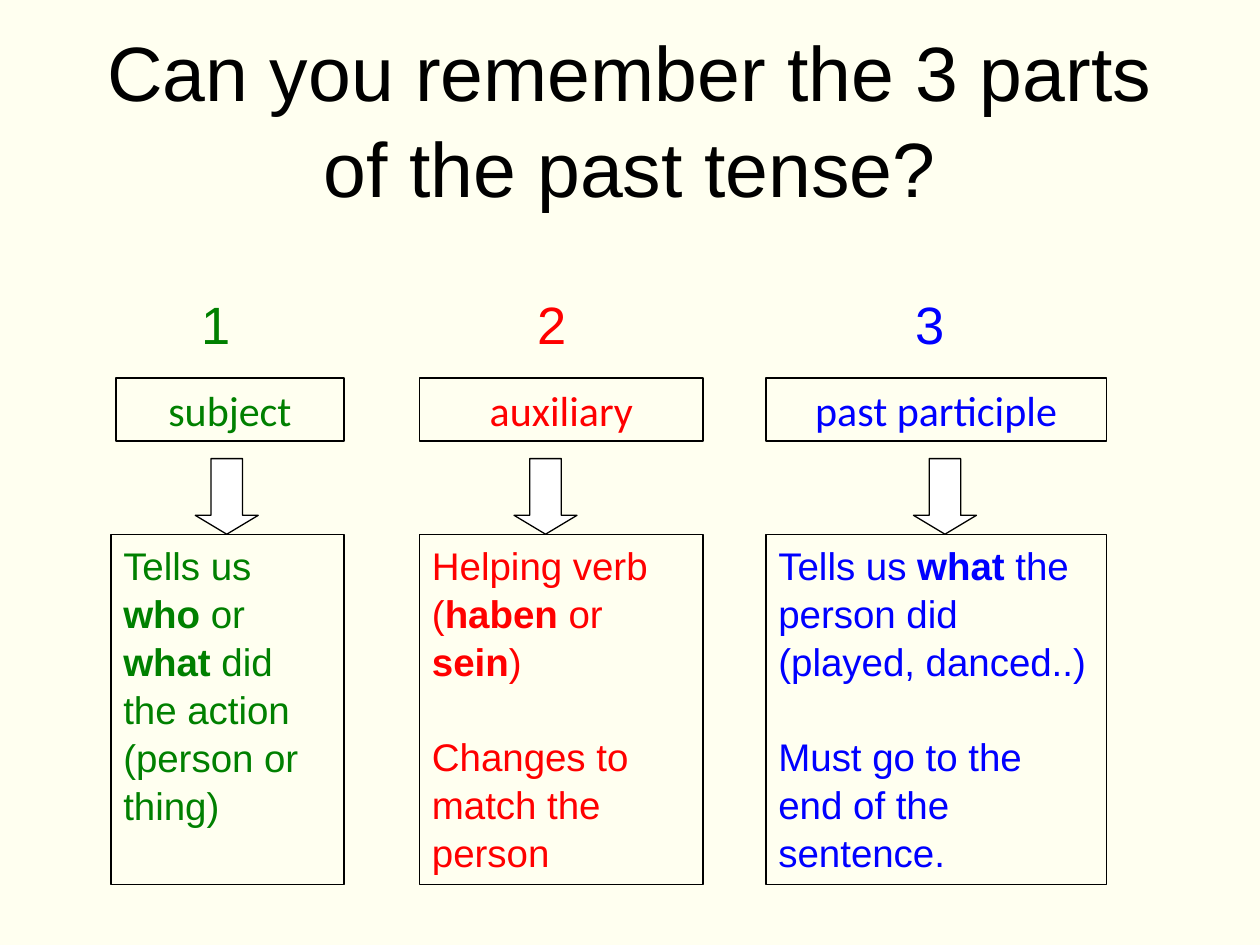
from pptx import Presentation
from pptx.dml.color import RGBColor
from pptx.enum.shapes import MSO_SHAPE
from pptx.enum.text import MSO_ANCHOR, PP_ALIGN
from pptx.util import Inches, Pt

RECTANGLE, DOWN_ARROW = MSO_SHAPE.RECTANGLE, MSO_SHAPE.DOWN_ARROW
TOP, MIDDLE = MSO_ANCHOR.TOP, MSO_ANCHOR.MIDDLE
LEFT, CENTER = PP_ALIGN.LEFT, PP_ALIGN.CENTER

COLORS = {
    "paper": "FFFFF0", "black": "000000", "white": "FFFFFF",
    "green": "008000", "red": "FF0000", "blue": "0000FF",
}
TITLE = "Can you remember the 3 parts of the past tense?"
PARTS = [
    {
        "color": "green", "number": "1", "name": "subject",
        "left": 0.88, "name_left": 0.92, "right": 2.73,
        "number_left": 1.5, "arrow_left": 1.55,
        "role": [[("Tells us ", False), ("who", True), (" or ", False), ("what", True),
                  (" did the action (person or thing)", False)]],
    },
    {
        "color": "red", "number": "2", "name": "auxiliary",
        "left": 3.33, "name_left": 3.33, "right": 5.58,
        "number_left": 4.17, "arrow_left": 4.08,
        "role": [[("Helping verb (", False), ("haben", True), (" or ", False),
                  ("sein", True), (")", False)],
                 [("Changes to match the person", False)]],
    },
    {
        "color": "blue", "number": "3", "name": "past participle",
        "left": 6.08, "name_left": 6.08, "right": 8.78,
        "number_left": 7.17, "arrow_left": 7.25,
        "role": [[("Tells us ", False), ("what", True),
                  (" the person did (played, danced..)", False)],
                 [("Must go to the end of the sentence.", False)]],
    },
]
NUMBER_TOP, NAME_TOP, ARROW_TOP, ROLE_TOP, ROLE_BOTTOM = 2.25, 3, 3.64, 4.24, 7.02
LINE_SPACING = 1.04


def rgb(name):
    return RGBColor.from_string(COLORS[name])


def write(box, paragraphs, size, color, font="Arial", align=LEFT, anchor=TOP, spacing=LINE_SPACING):
    frame = box.text_frame
    frame.word_wrap = True
    frame.vertical_anchor = anchor
    for index, spans in enumerate(paragraphs):
        paragraph = frame.add_paragraph() if index else frame.paragraphs[0]
        paragraph.alignment = align
        paragraph.line_spacing = spacing
        paragraph.space_before = Pt(1.2 * size if index else 0)
        paragraph.font.name = font
        paragraph.font.size = Pt(size)
        paragraph.font.color.rgb = rgb(color)
        for text, bold in spans:
            span = paragraph.add_run()
            span.text = text
            if bold:
                span.font.bold = True


def add_outline(page, kind, left, top, width, height, fill=None):
    shape = page.shapes.add_shape(kind, Inches(left), Inches(top), Inches(width), Inches(height))
    shape.shadow.inherit = False
    if fill:
        shape.fill.solid()
        shape.fill.fore_color.rgb = rgb(fill)
    else:
        shape.fill.background()
    shape.line.color.rgb = rgb("black")
    shape.line.width = Pt(0.75)
    return shape


def add_part(page, part):
    color, right = part["color"], part["right"]
    number = page.shapes.add_textbox(
        Inches(part["number_left"]), Inches(NUMBER_TOP), Inches(0.67), Inches(0.6))
    write(number, [[(part["number"], False)]], 30, color)

    name = add_outline(page, RECTANGLE, part["name_left"], NAME_TOP, right - part["name_left"], 0.5)
    write(name, [[(part["name"], False)]], 24, color, "Calibri", CENTER, spacing=1)

    arrow = add_outline(page, DOWN_ARROW, part["arrow_left"], ARROW_TOP,
                        0.5, ROLE_TOP - ARROW_TOP, "white")
    arrow.adjustments[0] = 0.5
    arrow.adjustments[1] = 0.3

    role = add_outline(page, RECTANGLE, part["left"], ROLE_TOP,
                       right - part["left"], ROLE_BOTTOM - ROLE_TOP)
    write(role, part["role"], 22, color)


def main():
    deck = Presentation()
    deck.slide_width, deck.slide_height = Inches(10), Inches(7.5)
    page = deck.slides.add_slide(deck.slide_layouts[5])
    page.background.fill.solid()
    page.background.fill.fore_color.rgb = rgb("paper")

    title = page.shapes.title
    title.left, title.top = Inches(0.5), Inches(0.3)
    title.width, title.height = Inches(9), Inches(1.25)
    write(title, [[(TITLE, False)]], 44, "black", align=CENTER, anchor=MIDDLE)

    for part in PARTS:
        add_part(page, part)
    deck.save("out.pptx")


if __name__ == "__main__":
    main()
